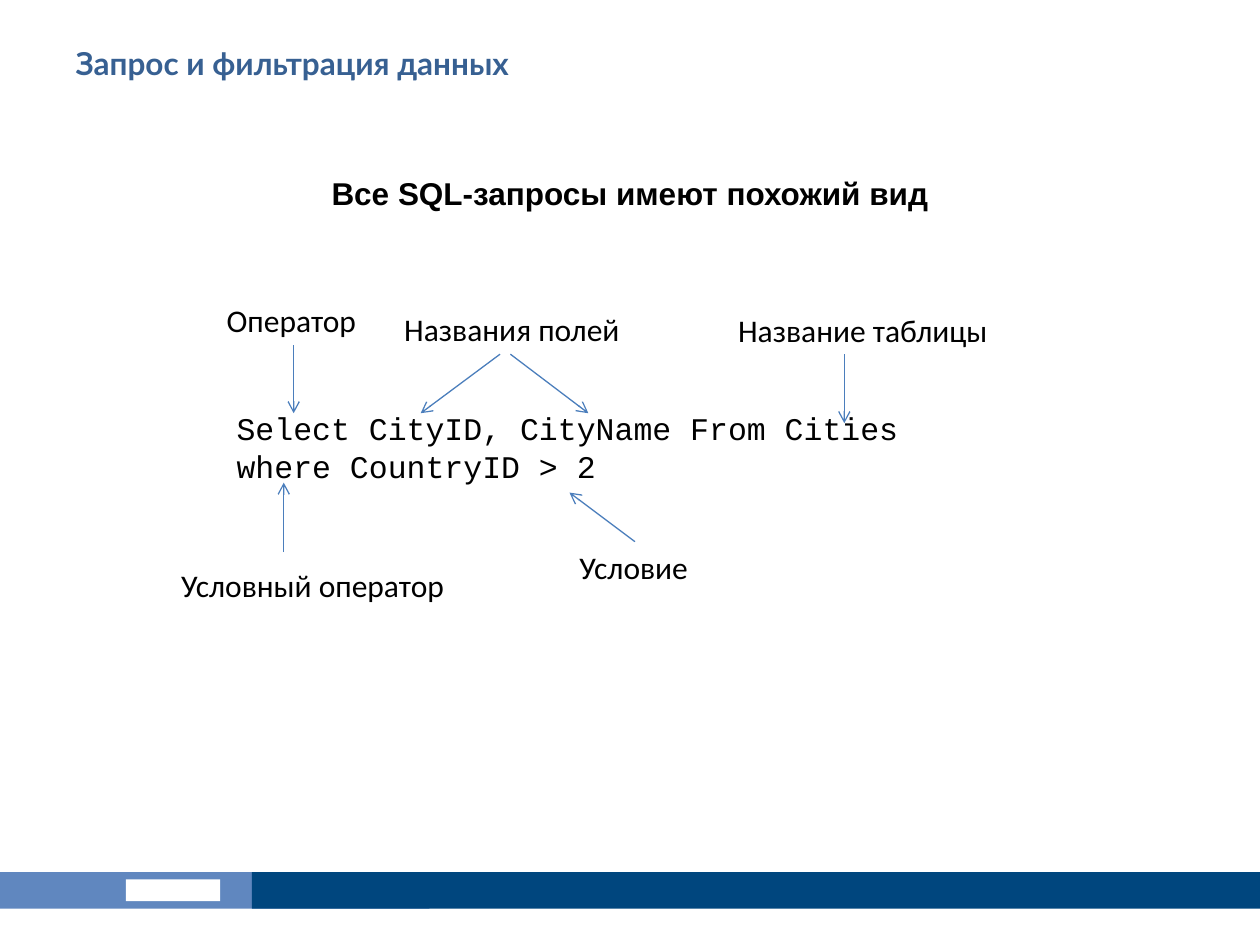
"""Builds a slide that labels the parts of an SQL query."""
from dataclasses import dataclass

from lxml import etree
from pptx import Presentation
from pptx.dml.color import RGBColor
from pptx.enum.shapes import MSO_CONNECTOR, MSO_SHAPE
from pptx.enum.text import MSO_ANCHOR, PP_ALIGN
from pptx.oxml.ns import qn
from pptx.slide import Slide
from pptx.util import Cm, Pt

STRAIGHT = MSO_CONNECTOR.STRAIGHT
RECTANGLE = MSO_SHAPE.RECTANGLE
TOP = MSO_ANCHOR.TOP
LEFT, CENTER = PP_ALIGN.LEFT, PP_ALIGN.CENTER

BLACK = RGBColor(0x00, 0x00, 0x00)
WHITE = RGBColor(0xFF, 0xFF, 0xFF)
TITLE_BLUE = RGBColor(0x37, 0x60, 0x92)
ARROW_BLUE = RGBColor(0x4B, 0x7E, 0xBC)
LIGHT_BLUE = RGBColor(0x60, 0x87, 0xBF)
DARK_BLUE = RGBColor(0x00, 0x46, 0x7E)

FOOTER_TOP, FOOTER_HEIGHT = 17.58, 0.74
LABEL_HEIGHT = 1.02

LABELS = [
    ("Оператор", 4.32, 5.94, 3.15),
    ("Названия полей", 7.9, 6.12, 4.9),
    ("Название таблицы", 14.63, 6.15, 5.59),
    ("Условный оператор", 3.4, 11.28, 5.87),
    ("Условие", 11.43, 10.92, 2.72),
]
ARROWS = [
    ((5.92, 6.96), (5.92, 8.33)),
    ((10.08, 7.14), (8.48, 8.33)),
    ((10.29, 7.14), (11.86, 8.33)),
    ((5.72, 11.13), (5.72, 9.73)),
    ((17.02, 7.14), (17.02, 8.53)),
    ((12.8, 10.92), (11.48, 9.93)),
]
QUERY = ["Select CityID, CityName From Cities", "where CountryID > 2"]


@dataclass
class QueryPage:
    page: Slide
    size: int = 18
    line_width: float = 0.75

    def set_lines(self, box, lines, font, color=BLACK, bold=False, align=LEFT, wrap=True):
        frame = box.text_frame
        frame.word_wrap = wrap
        frame.vertical_anchor = TOP
        for index, line in enumerate(lines):
            para = frame.add_paragraph() if index else frame.paragraphs[0]
            para.alignment = align
            span = para.add_run()
            span.text = line
            span.font.name = font
            span.font.size = Pt(self.size)
            span.font.bold = bold
            span.font.color.rgb = color

    def title(self, text, left, top, width, height):
        box = self.page.shapes.title
        box.left, box.top, box.width, box.height = map(Cm, (left, top, width, height))
        self.set_lines(box, [text], "Lato", TITLE_BLUE, bold=True)

    def text(self, lines, left, top, width, height, font, **style):
        box = self.page.shapes.add_textbox(*map(Cm, (left, top, width, height)))
        self.set_lines(box, lines, font, **style)

    def bar(self, left, top, width, height, color):
        shape = self.page.shapes.add_shape(RECTANGLE, *map(Cm, (left, top, width, height)))
        shape.shadow.inherit = False
        shape.fill.solid()
        shape.fill.fore_color.rgb = color
        shape.line.fill.background()

    def arrow(self, start, end):
        line = self.page.shapes.add_connector(STRAIGHT, *map(Cm, start + end))
        line.line.color.rgb = ARROW_BLUE
        line.line.width = Pt(self.line_width)
        properties = line._element.spPr
        etree.SubElement(properties.find(qn("a:ln")), qn("a:tailEnd"), type="arrow")
        etree.SubElement(properties, qn("a:effectLst"))


def main():
    deck = Presentation()
    deck.slide_width, deck.slide_height = Cm(25.4), Cm(19.05)
    page = QueryPage(deck.slides.add_slide(deck.slide_layouts[5]))

    page.bar(-0.05, FOOTER_TOP, 8.71, FOOTER_HEIGHT, LIGHT_BLUE)
    page.bar(2.54, 17.73, 1.9, 0.44, WHITE)
    page.bar(5.08, FOOTER_TOP, 20.32, FOOTER_HEIGHT, DARK_BLUE)

    page.title("Запрос и фильтрация данных", 1.27, 0.76, 22.86, 1.98)
    page.text(["Все SQL-запросы имеют похожий вид"], 2.54, 3.38, 20.32, 13.34,
              "Arial", bold=True, align=CENTER)
    for start, end in ARROWS:
        page.arrow(start, end)
    for label, left, top, width in LABELS:
        page.text([label], left, top, width, LABEL_HEIGHT, "Calibri", wrap=False)
    page.text(QUERY, 4.52, 8.13, 13.92, 1.8, "Courier New", wrap=False)
    deck.save("out.pptx")


if __name__ == "__main__":
    main()
